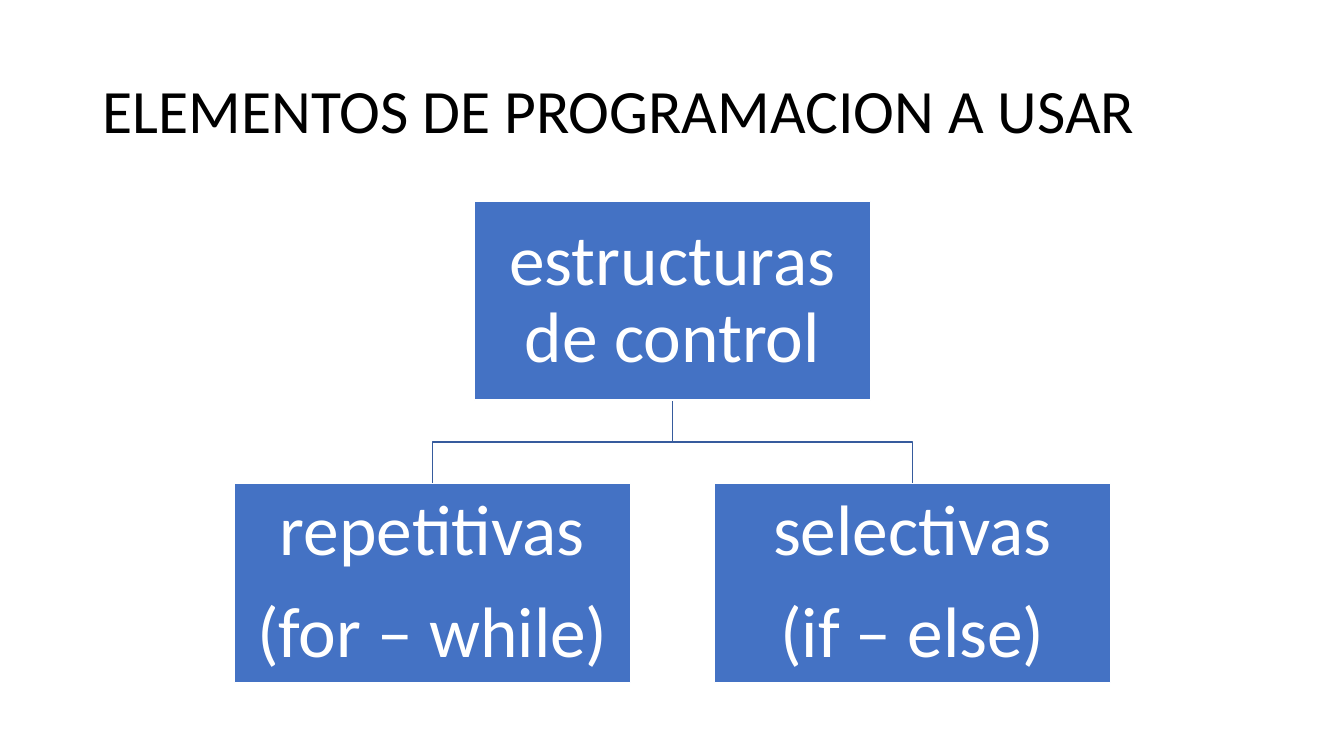
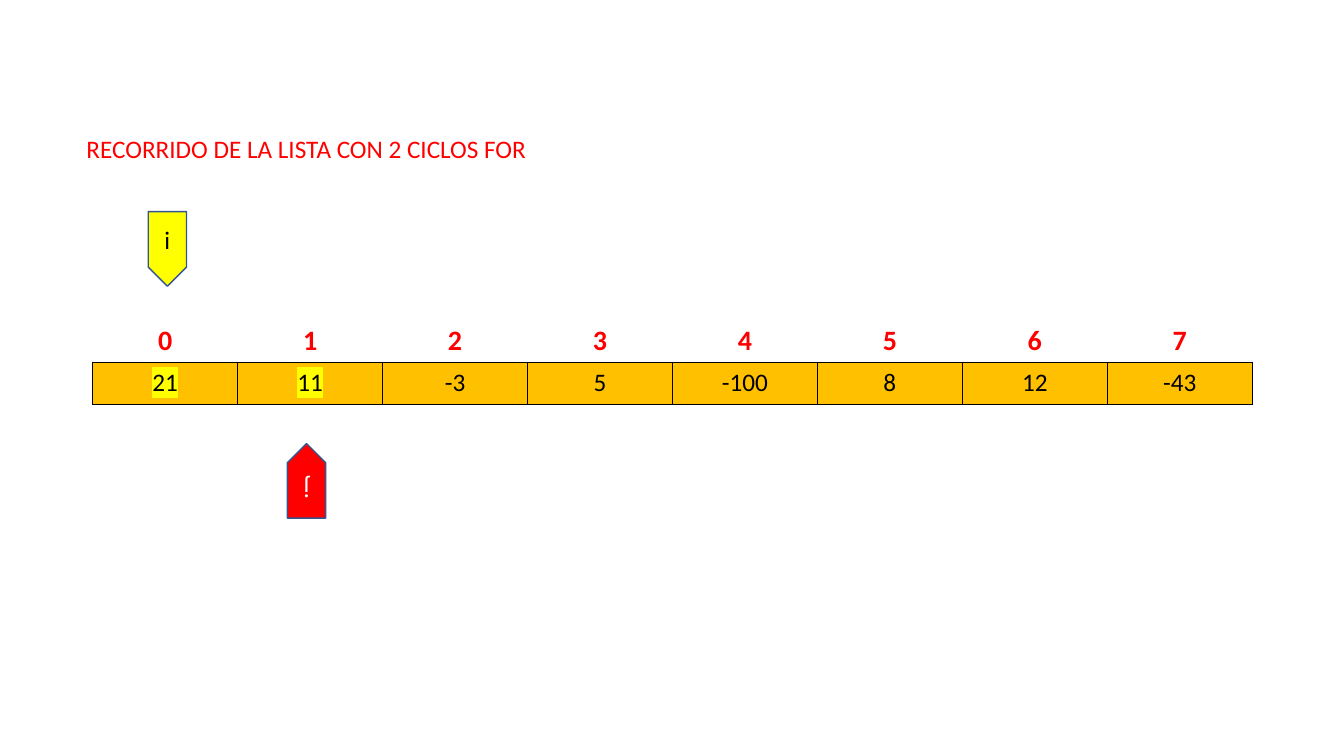
"""Builds two slides on control structures and list traversal."""
from lxml.etree import SubElement
from pptx import Presentation
from pptx.dml.color import RGBColor
from pptx.enum.shapes import MSO_SHAPE as SHAPE
from pptx.enum.text import MSO_ANCHOR as ANCHOR, PP_ALIGN as ALIGN
from pptx.oxml.ns import qn
from pptx.util import Inches, Pt

TITLE = "ELEMENTOS DE PROGRAMACION A USAR"
ROOT = ["estructuras de control"]
BRANCHES = [["repetitivas", "(for – while)"], ["selectivas", "(if – else)"]]

SUBTITLE = "RECORRIDO DE LA LISTA CON 2 CICLOS FOR"
VALUES = [21, 11, -3, 5, -100, 8, 12, -43]
COMPARED = {0, 1}
POINTERS = [
    dict(name="i", left=1.47, top=2.1, turn=0, fill="yellow", text="pointer_i"),
    dict(name="j", left=2.85, top=4.4, turn=180, fill="red", text="pointer_j"),
]

THEME = dict(
    font="Calibri",
    colors=dict(black="000000", white="FFFFFF", red="FF0000", yellow="FFFF00",
                amber="FFC000", blue="4472C4", branch="365B9D", edge="325491"),
    text=dict(
        title=dict(size=44, color="black", para=dict(line_spacing=0.9)),
        node=dict(size=51, color="white",
                  para=dict(alignment=ALIGN.CENTER, line_spacing=0.9, space_after=Pt(18))),
        subtitle=dict(size=18, color="red", para={}),
        index=dict(size=20, color="red", bold=True, para=dict(alignment=ALIGN.CENTER)),
        value=dict(size=18, color="black", para=dict(alignment=ALIGN.CENTER)),
        pointer_i=dict(size=18, color="black", para=dict(alignment=ALIGN.CENTER)),
        pointer_j=dict(size=18, color="white", para=dict(alignment=ALIGN.CENTER)),
    ),
)

CENTER_X, ROOT_TOP = 6.67, 2
NODE_W, NODE_H, NODE_GAP = 3.93, 1.97, 0.83
TABLE_X, TABLE_Y, TABLE_W, ROW_H = 0.92, 3.16, 11.5, 0.42
POINTER_W, POINTER_H = 0.38, 0.74


def rgb(name):
    return RGBColor.from_string(THEME["colors"][name])


def inches(*lengths):
    return [Inches(n) for n in lengths]


def write(tf, lines, style, **frame):
    look = THEME["text"][style]
    for key, value in frame.items():
        setattr(tf, key, value)
    for n, line in enumerate(lines):
        p = tf.add_paragraph() if n else tf.paragraphs[0]
        for key, value in look["para"].items():
            setattr(p, key, value)
        r = p.add_run()
        r.text = line
        font = dict(name=THEME["font"], size=Pt(look["size"]), bold=look.get("bold", False))
        for key, value in font.items():
            setattr(r.font, key, value)
        r.font.color.rgb = rgb(look["color"])


def add_label(slide, box, text, style, anchor):
    sp = slide.shapes.add_textbox(*inches(*box))
    write(sp.text_frame, [text], style, word_wrap=True, vertical_anchor=anchor)


def paint(sp, fill, line):
    sp.shadow.inherit = False
    if fill:
        sp.fill.solid()
        sp.fill.fore_color.rgb = rgb(fill)
    else:
        sp.fill.background()
    sp.line.color.rgb = rgb(line)
    sp.line.width = Pt(1)


def add_node(slide, center, top, lines):
    sp = slide.shapes.add_shape(
        SHAPE.RECTANGLE, *inches(center - NODE_W / 2, top, NODE_W, NODE_H))
    paint(sp, "blue", "white")
    margins = {f"margin_{side}": Inches(0.04) for side in ("left", "top", "right", "bottom")}
    write(sp.text_frame, lines, "node", word_wrap=True, vertical_anchor=ANCHOR.MIDDLE, **margins)


def add_branch(slide, center, top):
    middle, bottom = top + NODE_GAP / 2, top + NODE_GAP
    path = slide.shapes.build_freeform(*inches(CENTER_X, top))
    bends = [(CENTER_X, middle), (center, middle), (center, bottom)]
    path.add_line_segments([inches(*bend) for bend in bends], close=False)
    paint(path.convert_to_shape(), None, "branch")


def border(cell):
    tc_pr = cell._tc.get_or_add_tcPr()
    for n, side in enumerate(("lnL", "lnR", "lnT", "lnB")):
        ln = SubElement(tc_pr, qn(f"a:{side}"), w=str(Pt(1)))
        fill = SubElement(ln, qn("a:solidFill"))
        SubElement(fill, qn("a:srgbClr"), val=THEME["colors"]["black"])
        tc_pr.insert(n, ln)


def highlight(r):
    r_pr = r._r.get_or_add_rPr()
    mark = SubElement(r_pr, qn("a:highlight"))
    SubElement(mark, qn("a:srgbClr"), val=THEME["colors"]["yellow"])
    r_pr.find(qn("a:solidFill")).addnext(mark)


def add_list(slide):
    table = slide.shapes.add_table(
        2, len(VALUES), *inches(TABLE_X, TABLE_Y, TABLE_W, 2 * ROW_H)).table
    table.first_row = table.horz_banding = False
    for n, value in enumerate(VALUES):
        index, item = table.cell(0, n), table.cell(1, n)
        index.fill.background()
        write(index.text_frame, [str(n)], "index")
        item.fill.solid()
        item.fill.fore_color.rgb = rgb("amber")
        border(item)
        write(item.text_frame, [str(value)], "value")
        if n in COMPARED:
            highlight(item.text_frame.paragraphs[0].runs[0])


def add_pointer(slide, pointer):
    sp = slide.shapes.add_shape(
        SHAPE.DOWN_ARROW, *inches(pointer["left"], pointer["top"], POINTER_W, POINTER_H))
    sp.adjustments[0], sp.adjustments[1] = 1, 0.5
    sp.rotation = pointer["turn"]
    paint(sp, pointer["fill"], "edge")
    write(sp.text_frame, [pointer["name"]], pointer["text"], vertical_anchor=ANCHOR.MIDDLE)


def build_structures(slide):
    add_label(slide, (0.92, 0.4, 11.5, 1.45), TITLE, "title", ANCHOR.MIDDLE)
    step, root_bottom = NODE_W + NODE_GAP, ROOT_TOP + NODE_H
    first = CENTER_X - step * (len(BRANCHES) - 1) / 2
    centers = [first + step * n for n in range(len(BRANCHES))]
    for center in centers:
        add_branch(slide, center, root_bottom)
    add_node(slide, CENTER_X, ROOT_TOP, ROOT)
    for center, lines in zip(centers, BRANCHES):
        add_node(slide, center, root_bottom + NODE_GAP, lines)


def build_traversal(slide):
    add_list(slide)
    add_label(slide, (0.76, 1.27, 5.26, 0.4), SUBTITLE, "subtitle", ANCHOR.TOP)
    for pointer in POINTERS:
        add_pointer(slide, pointer)


def main():
    prs = Presentation()
    prs.slide_width, prs.slide_height = inches(13.33, 7.5)
    for build in (build_structures, build_traversal):
        build(prs.slides.add_slide(prs.slide_layouts[6]))
    prs.save("out.pptx")


if __name__ == "__main__":
    main()
